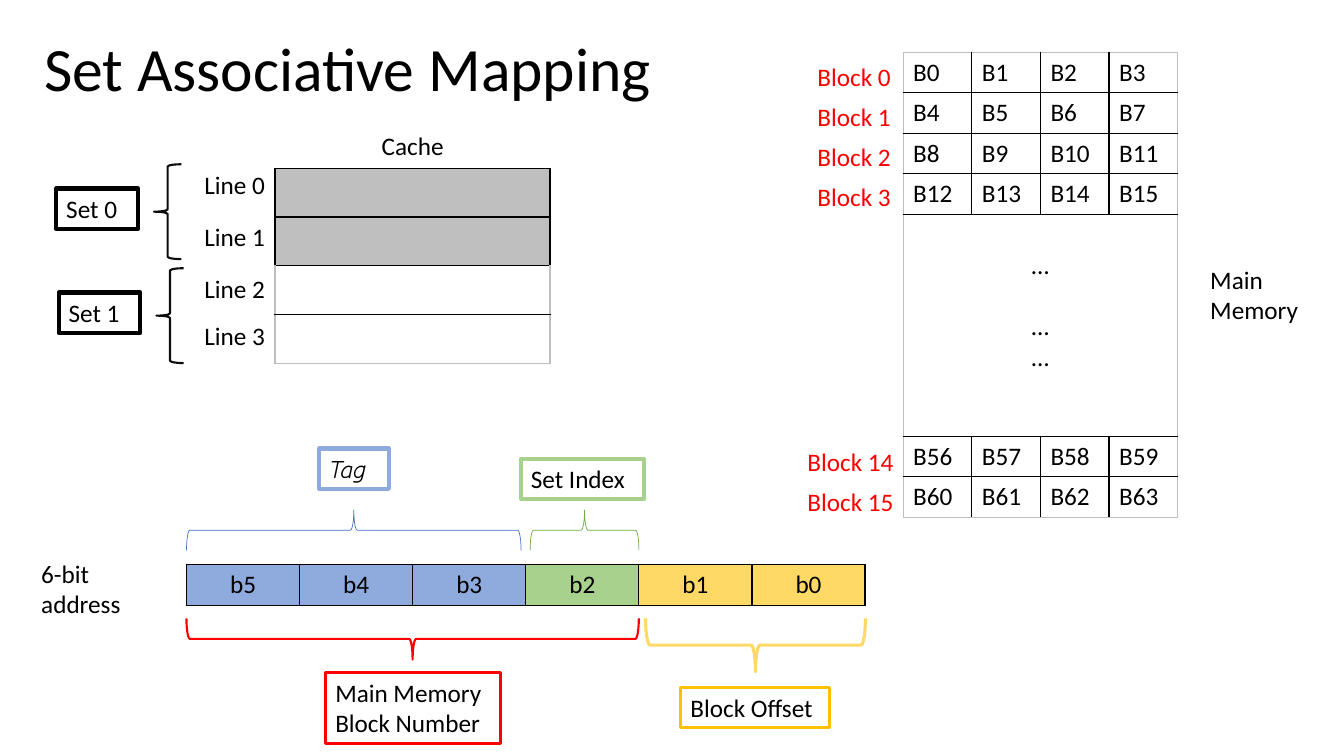
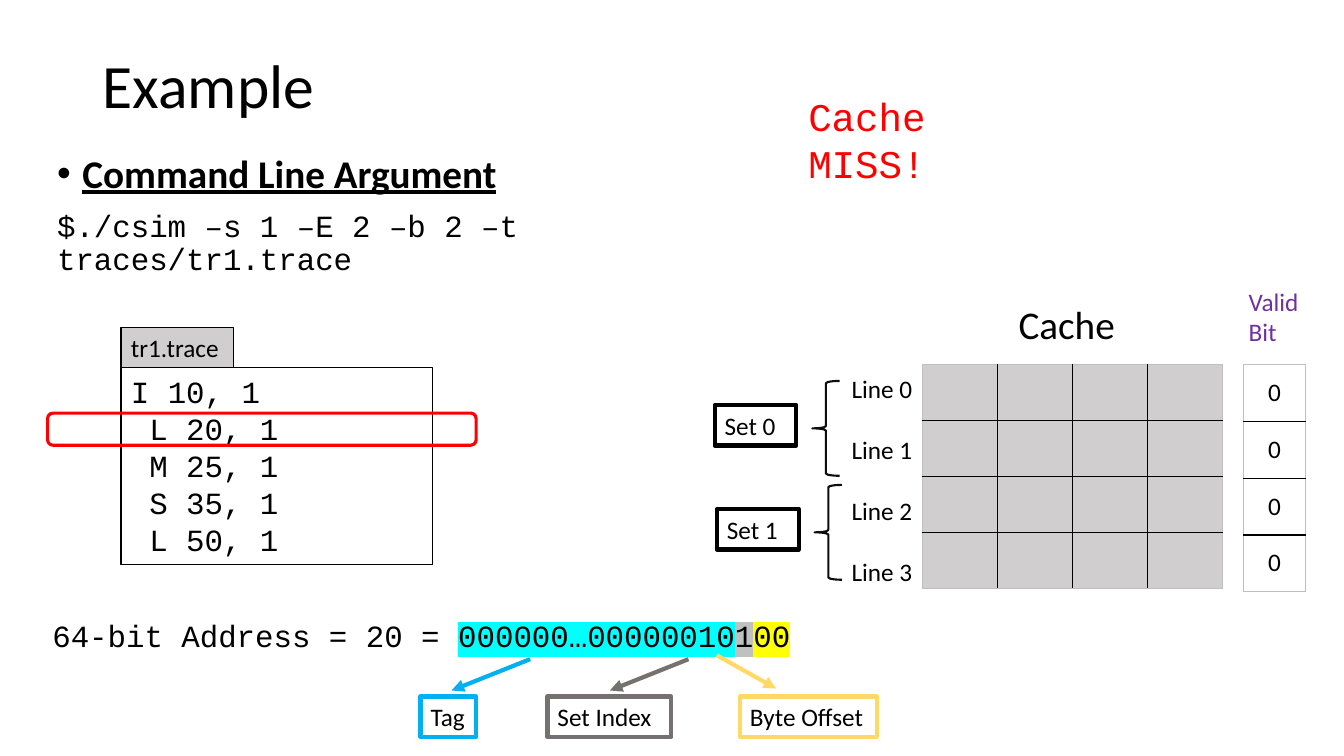
from dataclasses import dataclass

from lxml.etree import SubElement
from pptx import Presentation
from pptx.dml.color import RGBColor
from pptx.enum.shapes import MSO_CONNECTOR, MSO_SHAPE
from pptx.enum.text import MSO_ANCHOR, PP_ALIGN
from pptx.oxml.ns import qn
from pptx.util import Cm, Pt


@dataclass(frozen=True)
class Theme:
    font: str = "Calibri"
    code_font: str = "Courier New"
    tag_font: str = "Comic Neue"
    title_size: int = 44
    large_size: int = 28
    code_size: int = 22
    body_size: int = 18
    line_gap: int = 22
    black: str = "000000"
    white: str = "FFFFFF"
    red: str = "FF0000"
    purple: str = "7030A0"
    brace: str = "0D0D0D"
    grey: str = "BFBFBF"
    cell_grey: str = "D0CECE"
    dark_grey: str = "767171"
    blue: str = "8FAADC"
    deep_blue: str = "4472C4"
    sky: str = "00B0F0"
    green: str = "A9D18E"
    deep_green: str = "70AD47"
    yellow: str = "FFD966"
    amber: str = "FFC000"
    mark_tag: str = "00FFFF"
    mark_set: str = "C0C0C0"
    mark_offset: str = "FFFF00"


THEME = Theme()


def rgb(colour):
    return RGBColor.from_string(colour)


def lengths(box):
    return [Cm(value) for value in box]


def format_run(run, size=THEME.body_size, font=THEME.font, colour=THEME.black, italic=False):
    run.font.size = Pt(size)
    run.font.name = font
    run.font.italic = italic
    run.font.color.rgb = rgb(colour)


def write(text_frame, text, alignment=PP_ALIGN.LEFT, **style):
    """Fill the frame, one paragraph for each line of text."""
    text_frame.text = text
    text_frame.word_wrap = True
    for paragraph in text_frame.paragraphs:
        paragraph.alignment = alignment
        for run in paragraph.runs:
            format_run(run, **style)


def add_label(slide, box, text, **style):
    text_frame = slide.shapes.add_textbox(*lengths(box)).text_frame
    write(text_frame, text, **style)
    return text_frame


def add_outline(slide, preset, box, colour, weight, fill=None):
    shape = slide.shapes.add_shape(preset, *lengths(box))
    shape.shadow.inherit = False
    shape.line.color.rgb = rgb(colour)
    shape.line.width = Pt(weight)
    if fill:
        shape.fill.solid()
        shape.fill.fore_color.rgb = rgb(fill)
    else:
        shape.fill.background()
    return shape


def add_box(slide, box, text, colour, weight=3, fill=None, **style):
    shape = add_outline(slide, MSO_SHAPE.RECTANGLE, box, colour, weight, fill)
    shape.text_frame.vertical_anchor = MSO_ANCHOR.TOP
    write(shape.text_frame, text, **style)


def add_brace(slide, box, colour, weight, rotation=0):
    """Draw a brace that covers the box after a quarter turn: 90 points up, 270 down."""
    left, top, width, height = box
    if rotation:
        box = (left + (width - height) / 2, top + (height - width) / 2, height, width)
    add_outline(slide, MSO_SHAPE.LEFT_BRACE, box, colour, weight).rotation = rotation


def add_arrow(slide, start, end, colour):
    arrow = slide.shapes.add_connector(MSO_CONNECTOR.STRAIGHT, *lengths(start + end))
    arrow.line.color.rgb = rgb(colour)
    arrow.line.width = Pt(3)
    SubElement(arrow.line._get_or_add_ln(), qn("a:tailEnd"), type="triangle")
    SubElement(arrow._element.spPr, qn("a:effectLst"))


def add_title(slide, left, top, text):
    text_frame = add_label(slide, (left, top, 29.21, 3.68), text, size=THEME.title_size)
    text_frame.vertical_anchor = MSO_ANCHOR.MIDDLE
    text_frame.paragraphs[0].line_spacing = 0.9


def set_borders(cell, colours):
    """Set left, right, top and bottom borders, in this order."""
    properties = cell._tc.get_or_add_tcPr()
    for index, (side, colour) in enumerate(zip("LRTB", colours)):
        line = SubElement(properties, qn(f"a:ln{side}"), w=str(Pt(1)))
        SubElement(SubElement(line, qn("a:solidFill")), qn("a:srgbClr"), val=colour)
        properties.insert(index, line)


def add_grid(slide, left, top, column_width, heights, rows, fills, edges,
             merged_row=None, anchor=MSO_ANCHOR.TOP, alignment=PP_ALIGN.LEFT):
    """Add a table; fills go by column and row, edges give the outer border of each row."""
    row_count, column_count = len(rows), len(rows[0])
    box = (left, top, column_width * column_count, sum(heights))
    table = slide.shapes.add_table(row_count, column_count, *lengths(box)).table
    table.first_row = table.horz_banding = False
    for column in table.columns:
        column.width = Cm(column_width)
    for row, height in zip(table.rows, heights):
        row.height = Cm(height)
    if merged_row is not None:
        table.cell(merged_row, 0).merge(table.cell(merged_row, column_count - 1))
    for r, texts in enumerate(rows):
        for c, text in enumerate(texts):
            cell = table.cell(r, c)
            cell.fill.solid()
            cell.fill.fore_color.rgb = rgb(fills(c, r))
            cell.vertical_anchor = anchor
            write(cell.text_frame, text, alignment)
            outer = (c == 0 or r == merged_row, c == column_count - 1 or r == merged_row,
                     r == 0, r == row_count - 1)
            set_borders(cell, [edges[r] if edge else THEME.black for edge in outer])
    return table


def draw_sets(slide, left, top):
    for index in range(2):
        x, y = left + 0.06 * index, top + 2.62 * index
        add_brace(slide, (x + 2.46, y, 0.69, 2.39), THEME.brace, 1.5)
        add_box(slide, (x, y + 0.61, 2.06, 1.02), f"Set {index}", THEME.black)


def draw_memory(slide, left, top):
    row_height, gap_height, gap_row = 1.02, 5.59, 4
    rows = [[f"B{4 * block + byte}" for byte in range(4)] for block in (0, 1, 2, 3, 14, 15)]
    rows.insert(gap_row, ["…\n…\n…", "", "", ""])
    heights = [row_height] * 7
    heights[gap_row] = gap_height
    table = add_grid(slide, left, top, 1.73, heights, rows, lambda c, r: THEME.white,
                     [THEME.grey] * 7, merged_row=gap_row)
    gap_cell = table.cell(gap_row, 0)
    gap_cell.margin_top = Cm(0.9)
    for paragraph in gap_cell.text_frame.paragraphs:
        paragraph.alignment = PP_ALIGN.CENTER
    gap_cell.text_frame.paragraphs[1].space_before = Pt(THEME.line_gap)
    for block in range(4):
        add_label(slide, (left - 2.41, top + 0.1 + block * 1.01, 2.74, 1.02),
                  f"Block {block}", colour=THEME.red)
    for index in range(2):
        add_label(slide, (left - 2.66, top + 9.8 + index * row_height, 2.74, 1.02),
                  f"Block {14 + index}", colour=THEME.red)
    add_label(slide, (left + 7.49, top + 5.21, 2.95, 1.8), "Main Memory")


def draw_cache_lines(slide, left, top):
    black, grey = THEME.black, THEME.grey
    add_label(slide, (left + 2.44, top - 1.09, 2.13, 1.02), "Cache")
    add_grid(slide, left, top, 6.93, [1.23] * 4, [[""]] * 4,
             lambda c, r: grey if r < 2 else THEME.white, [black, black, grey, grey])
    for index, offset in enumerate((-0.1, 1.2, 2.52, 3.71)):
        add_label(slide, (left - 2.03, top + offset, 2.44, 1.02), f"Line {index}")
    draw_sets(slide, left - 5.51, top - 0.1)


def draw_address_bits(slide, left, top):
    bit_width = 2.85
    fills = [THEME.blue] * 3 + [THEME.green] + [THEME.yellow] * 2
    add_label(slide, (left - 3.91, top - 0.28, 3.53, 1.8), "6-bit address")
    add_grid(slide, left, top, bit_width, [1.04],
             [[f"b{bit}" for bit in range(5, -1, -1)]], lambda c, r: fills[c],
             [THEME.black], alignment=PP_ALIGN.CENTER)
    for x, y, width, height, colour, weight, rotation in (
            (0, -1.37, 8.43, 1.02, THEME.deep_blue, 0.5, 90),
            (8.66, -1.37, 2.74, 1.02, THEME.deep_green, 0.5, 90),
            (0, 1.36, 4 * bit_width, 1.04, THEME.red, 1.5, 270),
            (11.57, 1.36, 5.54, 1.35, THEME.yellow, 2.25, 270)):
        add_brace(slide, (left + x, top + y, width, height), colour, weight, rotation)
    add_box(slide, (left + 3.35, top - 2.92, 1.75, 1.02), "Tag", THEME.blue,
            font=THEME.tag_font, italic=True)
    add_box(slide, (left + 8.43, top - 2.66, 3.1, 1.02), "Set Index", THEME.green)
    add_box(slide, (left + 3.5, top + 2.72, 4.42, 1.8), "Main Memory Block Number",
            THEME.red, 2.25)
    add_box(slide, (left + 12.45, top + 3.1, 3.76, 1.02), "Block Offset", THEME.amber, 2.25)


def draw_command(slide, left, top):
    text_frame = add_label(slide, (left, top, 19.41, 3.68),
                           "Command Line Argument\n$./csim –s 1 –E 2 –b 2 –t traces/tr1.trace",
                           size=THEME.code_size, font=THEME.code_font)
    for paragraph in text_frame.paragraphs:
        paragraph.line_spacing = 0.9
        paragraph.space_before = Pt(10)
    heading = text_frame.paragraphs[0]
    run = heading.runs[0]
    format_run(run, size=THEME.large_size)
    run.font.bold = run.font.underline = True
    properties = heading._p.get_or_add_pPr()
    properties.set("marL", str(Cm(0.64)))
    properties.set("indent", str(-Cm(0.64)))
    SubElement(properties, qn("a:buFont"), typeface="Arial")
    SubElement(properties, qn("a:buChar"), char="•")


def draw_trace(slide, left, top):
    tab_height = 1.02
    add_box(slide, (left, top + tab_height, 7.85, 4.95),
            "I 10, 1\n L 20, 1\n M 25, 1\n S 35, 1\n L 50, 1", THEME.black, 0.75,
            size=THEME.code_size, font=THEME.code_font)
    add_box(slide, (left, top, 2.84, tab_height), "tr1.trace", THEME.black, 0.75,
            THEME.cell_grey)
    add_outline(slide, MSO_SHAPE.ROUNDED_RECTANGLE, (left - 1.85, top + 2.16, 10.8, 0.81),
                THEME.red, 2.25)


def draw_cache_table(slide, left, top):
    add_label(slide, (left + 2.18, top - 1.75, 3.28, 1.45), "Cache", size=THEME.large_size)
    add_grid(slide, left, top, 1.89, [1.41] * 4, [[""] * 4] * 4,
             lambda c, r: THEME.cell_grey, [THEME.grey] * 4)
    lines = add_label(slide, (left - 2.03, top + 0.08, 2.06, 5.64),
                      "Line 0\nLine 1\nLine 2\nLine 3")
    for paragraph in lines.paragraphs[1:]:
        paragraph.space_before = Pt(THEME.line_gap)
    draw_sets(slide, left - 5.23, top + 0.41)
    add_label(slide, (left + 7.98, top - 2.11, 1.98, 1.8), "Valid\nBit", colour=THEME.purple)
    add_grid(slide, left + 8.1, top, 1.56, [1.43] * 4, [["0"]] * 4,
             lambda c, r: THEME.white, [THEME.grey] * 4,
             anchor=MSO_ANCHOR.MIDDLE, alignment=PP_ALIGN.CENTER)


def draw_address_split(slide, left, top):
    code = {"size": THEME.code_size, "font": THEME.code_font}
    paragraph = add_label(slide, (left, top, 19.91, 1.19), "64-bit Address = 20 = ",
                          **code).paragraphs[0]
    for digits, colour in (("000000…00000010", THEME.mark_tag), ("1", THEME.mark_set),
                           ("00", THEME.mark_offset)):
        run = paragraph.add_run()
        run.text = digits
        format_run(run, **code)
        properties = run._r.get_or_add_rPr()
        highlight = SubElement(properties, qn("a:highlight"))
        SubElement(highlight, qn("a:srgbClr"), val=colour)
        properties.find(qn("a:solidFill")).addnext(highlight)
    for text, x, width, colour, start, end in (
            ("Tag", 9.53, 1.4, THEME.sky, (12.29, 1.19), (10.31, 1.98)),
            ("Set Index", 12.73, 3.12, THEME.dark_grey, (16.28, 1.19), (14.3, 1.98)),
            ("Byte Offset", 17.58, 3.45, THEME.yellow, (16.99, 1.09), (18.49, 1.93))):
        add_arrow(slide, (left + start[0], top + start[1]), (left + end[0], top + end[1]), colour)
        add_box(slide, (left + x, top + 2.13, width, 1.02), text, colour)


def build_mapping_slide(slide):
    add_title(slide, 0.86, -0.03, "Set Associative Mapping")
    draw_memory(slide, 22.76, 1.32)
    draw_cache_lines(slide, 6.93, 4.24)
    draw_address_bits(slide, 4.7, 14.22)


def build_example_slide(slide):
    add_title(slide, 2.34, 0.38, "Example")
    draw_command(slide, 1.19, 3.76)
    draw_trace(slide, 3.05, 8.25)
    draw_cache_table(slide, 23.24, 9.19)
    draw_address_split(slide, 1.07, 15.42)
    add_label(slide, (20.12, 2.21, 6.65, 1.45), "Cache MISS!", size=THEME.large_size,
              font=THEME.code_font, colour=THEME.red)


def main():
    presentation = Presentation()
    presentation.slide_width, presentation.slide_height = Cm(33.87), Cm(19.05)
    blank = presentation.slide_layouts[6]
    for build in (build_mapping_slide, build_example_slide):
        build(presentation.slides.add_slide(blank))
    presentation.save("out.pptx")


if __name__ == "__main__":
    main()
